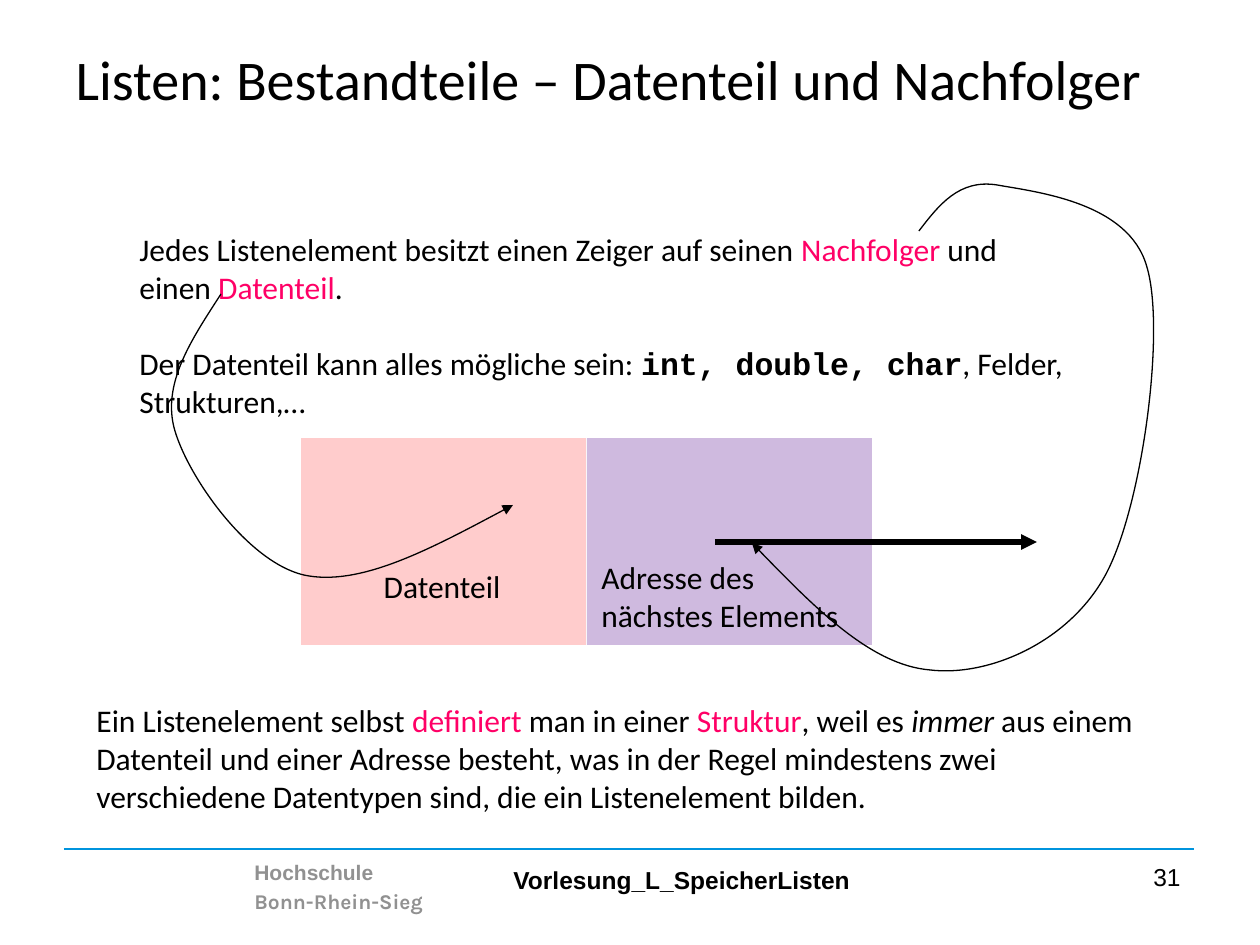
from lxml.etree import SubElement
from pptx import Presentation
from pptx.dml.color import RGBColor
from pptx.enum.shapes import MSO_CONNECTOR as CONN, MSO_SHAPE as SHAPE
from pptx.enum.text import MSO_ANCHOR as ANCHOR, MSO_AUTO_SIZE as FIT, PP_ALIGN as ALIGN
from pptx.oxml import parse_xml
from pptx.oxml.ns import nsdecls, qn
from pptx.util import Inches, Pt

PX = Inches(10) / 1260
BLACK, BLUE, PINK, GREY = "000000", "0094DD", "FF0066", "919191"
BODY = dict(name="Calibri", size=Pt(18), bold=False, italic=False)
FOOTER = dict(name="Arial", size=Pt(14))
FOOTER_BOLD = dict(FOOTER, bold=True)
SCHOOL = dict(name="Arial", size=Pt(12), bold=True)
CODE = dict(name="Courier New", bold=True)


def px(*values):
    return [round(v * PX) for v in values]


def rgb(hex_color):
    return RGBColor.from_string(hex_color)


def apply(obj, values):
    for key, value in values.items():
        setattr(obj, key, value)


def write(tf, paragraphs, font, color=BLACK, **layout):
    for i, runs in enumerate(paragraphs):
        p = tf.paragraphs[0] if i == 0 else tf.add_paragraph()
        apply(p, {k: v for k, v in layout.items() if i or k != "space_before"})
        for text, run_color, extra in runs:
            r = p.add_run()
            r.text = text
            apply(r.font, {**font, **extra})
            r.font.color.rgb = rgb(run_color or color)


def run(text, color=None, **extra):
    return text, color, extra


def add_title(slide, box, text):
    sp = slide.shapes.title
    apply(sp, dict(zip(("left", "top", "width", "height"), px(*box))))
    tf = sp.text_frame
    apply(tf, dict(auto_size=FIT.NONE, word_wrap=True, vertical_anchor=ANCHOR.MIDDLE))
    write(tf, [[run(text)]], dict(name="Calibri", size=Pt(32)), alignment=ALIGN.LEFT)
    fill = tf.paragraphs[0].runs[0].font._element.find(qn("a:solidFill"))
    fill.addnext(parse_xml(
        f'<a:effectLst {nsdecls("a")}><a:outerShdw dist="25400" dir="2700000">'
        '<a:srgbClr val="C0C0C0"/></a:outerShdw></a:effectLst>'))


def add_text(slide, box, paragraphs, font=BODY, wrap=True, fill=None, **layout):
    sp = slide.shapes.add_textbox(*px(*box))
    if fill:
        sp.fill.solid()
        sp.fill.fore_color.rgb = rgb(fill)
    tf = sp.text_frame
    apply(tf, dict(word_wrap=wrap, auto_size=FIT.SHAPE_TO_FIT_TEXT))
    write(tf, paragraphs, font, **layout)


def add_block(slide, box, color, opacity=None):
    sp = slide.shapes.add_shape(SHAPE.RECTANGLE, *px(*box))
    sp.shadow.inherit = False
    sp.line.fill.background()
    sp.fill.solid()
    sp.fill.fore_color.rgb = rgb(color)
    if opacity:
        clr = sp._element.spPr.find(qn("a:solidFill"))[0]
        SubElement(clr, qn("a:alpha"), val=str(opacity * 1000))


def style_line(sp, color, width, arrow):
    sp.line.color.rgb = rgb(color)
    sp.line.width = Pt(width)
    if arrow:
        SubElement(sp.line._get_or_add_ln(), qn("a:tailEnd"), type="triangle")


def add_line(slide, ends, color, width, arrow=False):
    sp = slide.shapes.add_connector(CONN.STRAIGHT, *px(*ends))
    style_line(sp, color, width, arrow)
    SubElement(sp._element.spPr, qn("a:effectLst"))


def add_curve(slide, points):
    builder = slide.shapes.build_freeform(*points[0], scale=PX)
    builder.add_line_segments(points[1:], close=False)
    sp = builder.convert_to_shape()
    segments = list(sp._element.iter(qn("a:lnTo")))
    for i in range(0, len(segments), 3):
        bezier = SubElement(segments[i].getparent(), qn("a:cubicBezTo"))
        for segment in segments[i:i + 3]:
            bezier.append(segment[0])
            segment.getparent().remove(segment)
    sp.fill.background()
    sp.shadow.inherit = False
    style_line(sp, BLACK, 0.75, True)


def add_footer(slide):
    add_text(slide, (242, 850, 319, 71),
             [[run("Hochschule")], [run("Bonn-Rhein-Sieg", name="Karla")]],
             SCHOOL, color=GREY, line_spacing=1.15)
    add_line(slide, (64, 849, 1194, 849), BLUE, 1)
    add_text(slide, (501, 859, 362, 42), [[run("Vorlesung_L_SpeicherListen")]],
             FOOTER_BOLD, wrap=False)
    add_text(slide, (917, 856, 276, 47), [[run("31")]], FOOTER, alignment=ALIGN.RIGHT)


def main():
    prs = Presentation()
    prs.slide_width, prs.slide_height = Inches(10), Inches(7.5)
    slide = prs.slides.add_slide(prs.slide_layouts[5])
    add_footer(slide)
    add_block(slide, (587, 438, 285, 207), "7030A0", opacity=33)
    add_block(slide, (301, 438, 285, 207), "FFCCCC")
    add_title(slide, (63, 35, 1134, 87), "Listen: Bestandteile – Datenteil und Nachfolger")
    add_text(slide, (127, 224, 954, 204), [
        [run("Jedes Listenelement besitzt einen Zeiger auf seinen "),
         run("Nachfolger", PINK), run(" und einen "), run("Datenteil", PINK), run(".")],
        [run("Der Datenteil kann alles mögliche sein: "),
         run("int, double, char", **CODE), run(", Felder, Strukturen,…")],
    ], fill="FFFFFF", space_before=Pt(22))
    add_text(slide, (370, 561, 144, 50), [[run("Datenteil")]],
             wrap=False, alignment=ALIGN.CENTER)
    add_text(slide, (589, 552, 265, 89),
             [[run("Adresse des")], [run("nächstes Elements")]], wrap=False)
    add_curve(slide, [(919, 231), (939, 205), (959, 179), (997, 185), (1036, 192),
                      (1129, 202), (1147, 267), (1166, 331), (1142, 509), (1105, 576),
                      (1068, 643), (988, 677), (930, 670), (871, 665), (811, 604),
                      (752, 543)])
    add_curve(slide, [(221, 294), (192, 339), (161, 384), (175, 431), (189, 478),
                      (248, 562), (304, 575), (360, 587), (436, 546), (513, 505)])
    add_text(slide, (84, 695, 1092, 127), [[
        run("Ein Listenelement selbst "), run("definiert", PINK), run(" man in einer "),
        run("Struktur", PINK), run(", weil es "), run("immer", italic=True),
        run(" aus einem Datenteil und einer Adresse besteht, was in der Regel mindestens "
            "zwei verschiedene Datentypen sind, die ein Listenelement bilden.")]])
    add_line(slide, (715, 542, 1037, 542), BLACK, 3, arrow=True)
    prs.save("out.pptx")


if __name__ == "__main__":
    main()
